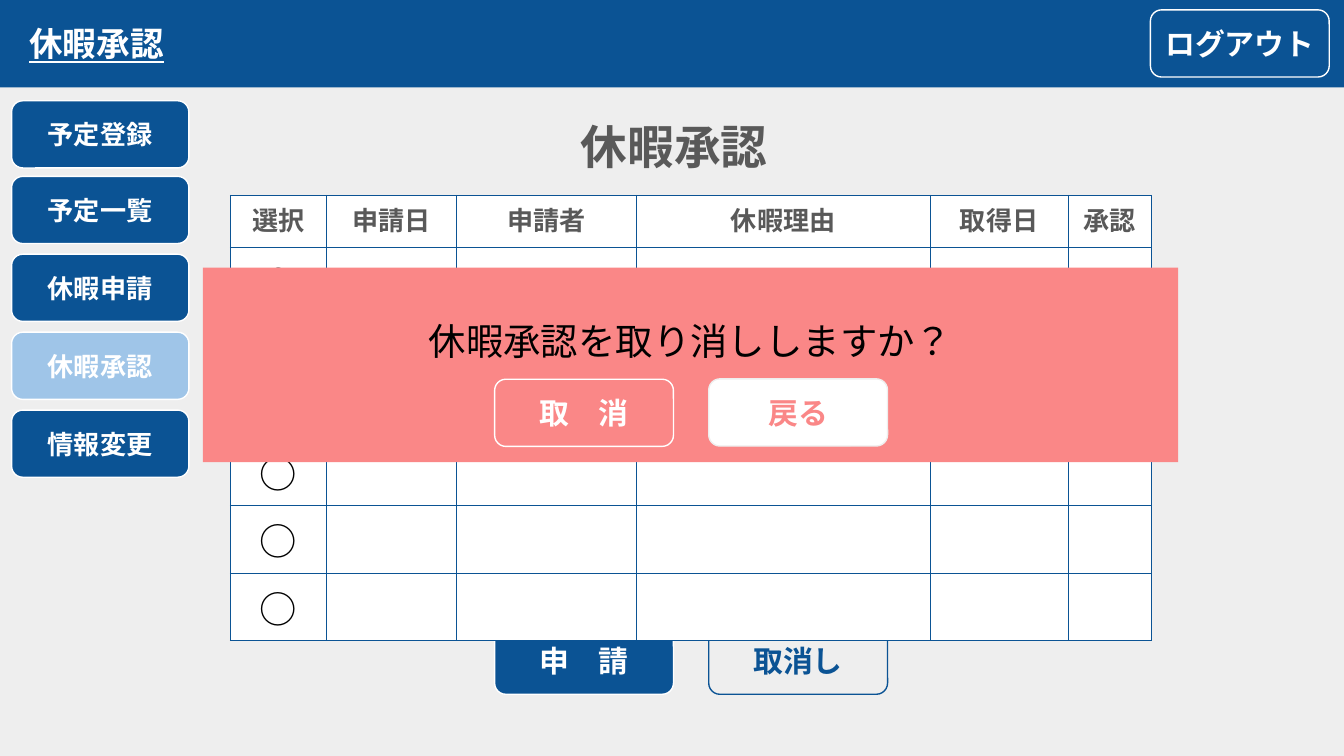
from dataclasses import dataclass

from lxml import etree
from pptx import Presentation
from pptx.dml.color import RGBColor
from pptx.enum import lang, shapes, text
from pptx.oxml import ns
from pptx.util import Pt

FONT = "Noto Sans CJK JP"
HEX = {"blue": "0B5394", "light": "9FC5E8", "pink": "FA8787", "grey": "EEEEEE",
       "dark": "595959", "white": "FFFFFF", "black": "000000"}


@dataclass
class Button:
    label: str
    x: float
    y: float
    fill: str = "blue"
    line: str = "white"
    ink: str = "white"
    w: float = 95.8
    size: float = 16


def rgb(name: str) -> RGBColor:
    return RGBColor.from_string(HEX[name])


def write(frame, label: str, *, size: float, color: str = "white", bold: bool = True,
          under: bool = False, font: str = FONT, center: bool = True) -> None:
    para = frame.paragraphs[0]
    para.alignment = text.PP_ALIGN.CENTER if center else text.PP_ALIGN.LEFT
    run = para.add_run()
    run.text = label
    face = run.font
    face.size, face.bold, face.underline, face.name = Pt(size), bold, under, font
    face.language_id = lang.MSO_LANGUAGE_ID.JAPANESE
    face.color.rgb = rgb(color)
    # East Asian letters take their own typeface
    east = etree.SubElement(run._r.get_or_add_rPr(), ns.qn("a:ea"))
    east.set("typeface", font)


def setup(frame, inset: float = 7.2) -> None:
    frame.word_wrap = True
    frame.auto_size = text.MSO_AUTO_SIZE.NONE
    frame.vertical_anchor = text.MSO_ANCHOR.MIDDLE
    frame.margin_left = frame.margin_right = Pt(inset)
    frame.margin_top = frame.margin_bottom = Pt(inset)


def block(slide, kind, x: float, y: float, w: float, h: float, fill: str):
    shape = slide.shapes.add_shape(kind, Pt(x), Pt(y), Pt(w), Pt(h))
    shape.shadow.inherit = False
    shape.fill.solid()
    shape.fill.fore_color.rgb = rgb(fill)
    shape.line.fill.background()
    return shape


def press(slide, item: Button) -> None:
    shape = block(slide, shapes.MSO_SHAPE.ROUNDED_RECTANGLE,
                  item.x, item.y, item.w, 36, item.fill)
    shape.adjustments[0] = 0.167
    shape.line.color.rgb = rgb(item.line)
    shape.line.width = Pt(0.75)
    setup(shape.text_frame, inset=2)
    write(shape.text_frame, item.label, size=item.size, color=item.ink)


def border(cell) -> None:
    props = cell._tc.get_or_add_tcPr()
    for spot, side in enumerate(("lnL", "lnR", "lnT", "lnB")):
        line = etree.Element(ns.qn("a:" + side), w=str(Pt(0.5)))
        fill = etree.SubElement(line, ns.qn("a:solidFill"))
        etree.SubElement(fill, ns.qn("a:srgbClr"), val=HEX["blue"])
        props.insert(spot, line)


def grid(slide, heads: tuple, widths: tuple, count: int) -> None:
    top, row = 27.9, 28.1
    frame = slide.shapes.add_table(count + 1, len(heads), Pt(123.4), Pt(104.6),
                                   Pt(sum(widths)), Pt(top + count * row))
    table = frame.table
    table.first_row = table.horz_banding = False
    for col, width in zip(table.columns, widths):
        col.width = Pt(width)
    for i, line in enumerate(table.rows):
        line.height = Pt(row if i else top)
        for j, cell in enumerate(line.cells):
            cell.fill.solid()
            cell.fill.fore_color.rgb = rgb("white")
            cell.vertical_anchor = text.MSO_ANCHOR.MIDDLE
            border(cell)
            if i == 0:
                write(cell.text_frame, heads[j], size=14, color="dark", font="Arial")
            elif j == 0:
                write(cell.text_frame, "○", size=20, color="black", bold=False,
                      font="Arial" if i == 1 else FONT)


def main() -> None:
    deck = Presentation()
    deck.slide_width, deck.slide_height = Pt(720), Pt(405)
    slide = deck.slides.add_slide(deck.slide_layouts[5])
    slide.background.fill.solid()
    slide.background.fill.fore_color.rgb = rgb("grey")
    rect = shapes.MSO_SHAPE.RECTANGLE

    # Page title
    title = slide.shapes.title
    title.left, title.top, title.width, title.height = Pt(233), Pt(64.1), Pt(256.3), Pt(28)
    setup(title.text_frame)
    write(title.text_frame, "休暇承認", size=25, color="dark")

    # Top bar
    block(slide, rect, 0, 0, 720, 46.8, "blue")
    press(slide, Button("ログアウト", 616.3, 5.3))
    crumb = slide.shapes.add_textbox(Pt(8.6), Pt(5.3), Pt(226), Pt(36))
    setup(crumb.text_frame)
    write(crumb.text_frame, "休暇承認", size=18, under=True, center=False)

    # Side menu, with the current page in light blue
    menu = ("予定登録", "予定一覧", "休暇申請", "休暇承認", "情報変更")
    for label, y in zip(menu, (54, 94.5, 136.2, 178, 219.7)):
        fill = "light" if label == "休暇承認" else "blue"
        press(slide, Button(label, 6.2, y, fill, w=95, size=14))

    # Form buttons, partly under the table
    left, right = 265, 379.7
    press(slide, Button("申　請", left, 336))
    press(slide, Button("取消し", right, 336, "grey", "blue", "blue"))

    # Request table
    grid(slide, ("選択", "申請日", "申請者", "休暇理由", "取得日", "承認"),
         (51.5, 69.7, 96.4, 157.5, 73.8, 44.6), 6)

    # Confirmation dialog
    box = block(slide, rect, 108.7, 143.4, 522.5, 104.2, "pink")
    setup(box.text_frame)
    box.text_frame.vertical_anchor = text.MSO_ANCHOR.TOP
    box.text_frame.margin_top = Pt(27)
    write(box.text_frame, "休暇承認を取り消ししますか？", size=20, color="black", bold=False)
    press(slide, Button("取　消", left, 203.2, "pink"))
    press(slide, Button("戻る", right, 203, "white", "grey", "pink"))

    deck.save("out.pptx")


if __name__ == "__main__":
    main()
